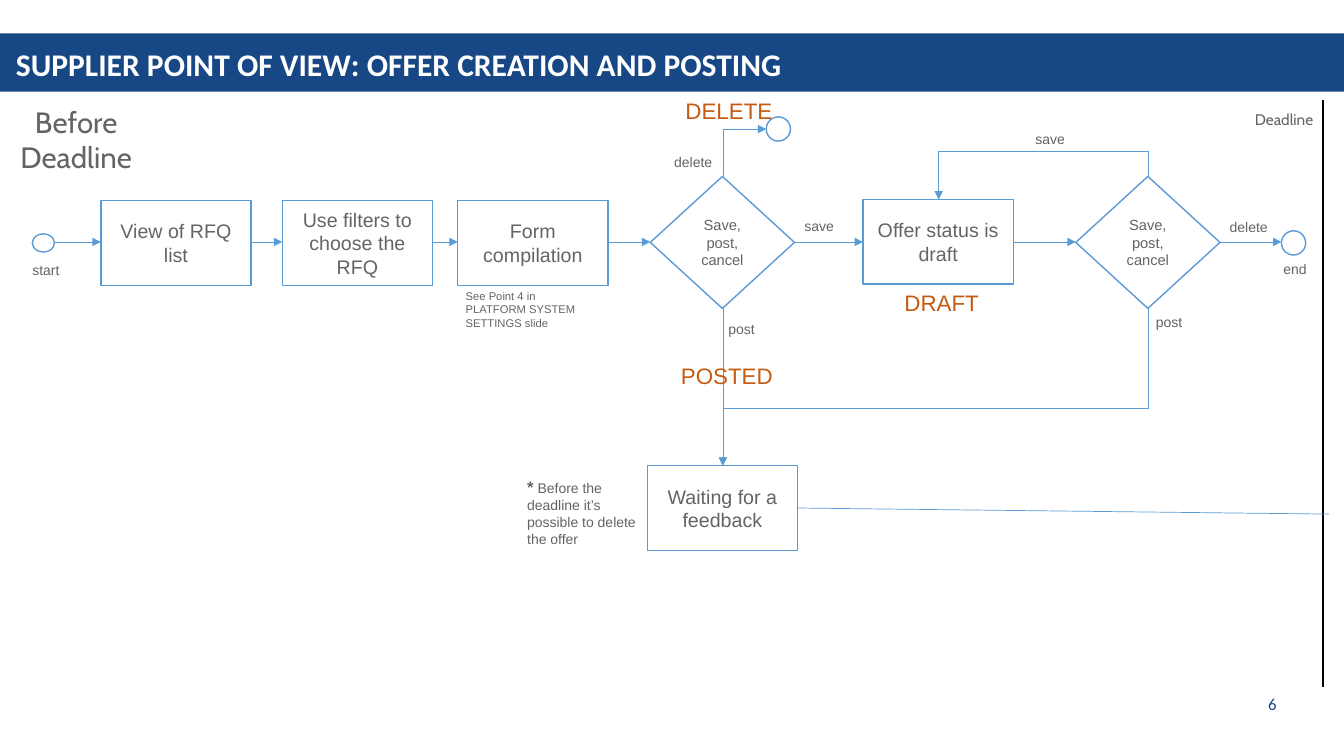
from lxml.etree import SubElement
from pptx import Presentation
from pptx.dml.color import RGBColor
from pptx.enum.shapes import MSO_CONNECTOR, MSO_SHAPE
from pptx.enum.text import MSO_ANCHOR, PP_ALIGN
from pptx.oxml.ns import qn
from pptx.util import Inches, Pt

HUES = {"navy": "174784", "blue": "5B9BD5", "grey": "646464",
        "rust": "C55A11", "white": "FFFFFF", "black": "000000"}
ROW = 2.4


def hue(name):
    return RGBColor.from_string(HUES[name])


def write(frame, text, size=10, font="Arial", color="grey", bold=False,
          align=PP_ALIGN.CENTER, anchor=MSO_ANCHOR.TOP, wrap=True):
    frame.word_wrap = wrap
    frame.vertical_anchor = anchor
    para = frame.paragraphs[0]
    para.alignment = align
    parts = text if isinstance(text, list) else [(text, size, bold)]
    for words, points, heavy in parts:
        run = para.add_run()
        run.text = words
        run.font.size = Pt(points)
        run.font.name = font
        run.font.bold = heavy
        run.font.color.rgb = hue(color)


class Flow:
    """Draws the flow chart's elements on one slide in a shared style."""

    def __init__(self, slide):
        self.shapes = slide.shapes

    def shape(self, kind, x, y, w, h, fill=None, line="blue"):
        item = self.shapes.add_shape(kind, *map(Inches, (x, y, w, h)))
        item.shadow.inherit = False
        if fill:
            item.fill.solid()
            item.fill.fore_color.rgb = hue(fill)
        else:
            item.fill.background()
        if line:
            item.line.color.rgb = hue(line)
            item.line.width = Pt(1)
        else:
            item.line.fill.background()
        return item

    def step(self, text, x, y):
        box = self.shape(MSO_SHAPE.RECTANGLE, x, y, 1.49, 0.84)
        write(box.text_frame, text, size=14, anchor=MSO_ANCHOR.MIDDLE)

    def choice(self, x):
        box = self.shape(MSO_SHAPE.FLOWCHART_DECISION, x, 1.75, 1.43, 1.31)
        write(box.text_frame, "Save, post, cancel", size=10.5,
              anchor=MSO_ANCHOR.MIDDLE)

    def dot(self, x, y, w=0.24, h=0.24):
        self.shape(MSO_SHAPE.FLOWCHART_CONNECTOR, x, y, w, h)

    def label(self, text, x, y, w=0.67, h=0.27, **style):
        box = self.shapes.add_textbox(*map(Inches, (x, y, w, h)))
        write(box.text_frame, text, **style)

    def link(self, x1, y1, x2, y2, color="blue", width=0.5, head=True,
             kind=MSO_CONNECTOR.STRAIGHT):
        item = self.shapes.add_connector(kind, *map(Inches, (x1, y1, x2, y2)))
        item.line.color.rgb = hue(color)
        item.line.width = Pt(width)
        if head:
            SubElement(item.line._get_or_add_ln(), qn("a:tailEnd"), type="triangle")
        SubElement(item._element.spPr, qn("a:effectLst"))
        return item

    def bend(self, x1, y1, x2, y2, turn=None):
        midx, midy = (x1 + x2) / 2, (y1 + y2) / 2
        w, h = abs(y2 - y1) / 2, abs(x2 - x1) / 2
        item = self.link(midx - w, midy - h, midx + w, midy + h,
                         kind=MSO_CONNECTOR.ELBOW)
        props = item._element.spPr
        angle = 90 if y2 > y1 else 270
        props.find(qn("a:xfrm")).set("rot", str(angle * 60000))
        geom = props.find(qn("a:prstGeom"))
        if turn is None:
            geom.set("prst", "bentConnector2")
        else:
            ratio = round((turn - y1) / (y2 - y1) * 100000)
            SubElement(geom.find(qn("a:avLst")), qn("a:gd"),
                       name="adj1", fmla=f"val {ratio}")


deck = Presentation()
deck.slide_width, deck.slide_height = Inches(13.33), Inches(7.5)
flow = Flow(deck.slides.add_slide(deck.slide_layouts[6]))

flow.shape(MSO_SHAPE.RECTANGLE, 0, 0.33, 13.33, 0.58, fill="navy", line=None)
flow.label("SUPPLIER POINT OF VIEW: OFFER CREATION AND POSTING", 0.06, 0.42,
           9.44, 0.42, size=22.5, font="Calibri", color="white", bold=True,
           align=PP_ALIGN.LEFT, anchor=MSO_ANCHOR.MIDDLE)
flow.label("6", 12.42, 6.83, 0.4, 0.3, size=12, font="Calibri",
           color="navy", wrap=False)
flow.label("Before Deadline", 0.03, 0.98, 1.45, 0.8, size=21, font="Cabin")
flow.label("Deadline", 12.34, 1.04, 0.79, 0.29, size=11, font="Cabin")
flow.link(13.12, 0.99, 13.12, 6.82, color="black", width=1.5, head=False)

for text, x, y in [("View of RFQ list", 1, 1.99),
                   ("Use filters to choose the RFQ", 2.8, 1.99),
                   ("Form compilation", 4.54, 1.99),
                   ("Offer status is draft", 8.56, 1.98),
                   ("Waiting for a feedback", 6.42, 4.62)]:
    flow.step(text, x, y)
for x in (6.45, 10.67):
    flow.choice(x)
flow.dot(0.32, 2.32, 0.22, 0.18)
flow.dot(7.6, 1.16)
flow.dot(12.71, 2.29)

for start, end in [(0.55, 1), (2.49, 2.8), (4.29, 4.54), (6.03, 6.45),
                   (7.88, 8.56), (10.05, 10.67), (12.1, 12.71)]:
    flow.link(start, ROW, end, ROW)
flow.link(7.17, 3.06, 7.17, 4.62)
flow.link(7.91, 5.04, 13.18, 5.1, head=False)
flow.bend(7.17, 1.75, 7.6, 1.28)
flow.bend(11.39, 1.75, 9.31, 1.98, turn=1.5)
flow.bend(11.39, 3.06, 7.17, 4.62, turn=4.05)

for text, x, y in [("start", 0.12, 2.55), ("delete", 6.54, 1.47),
                   ("save", 7.79, 2.11), ("post", 7.02, 3.13),
                   ("save", 10.08, 1.25), ("post", 11.26, 3.06),
                   ("delete", 12.05, 2.12), ("end", 12.51, 2.54)]:
    flow.label(text, x, y)
for text, x, y in [("DRAFT", 8.31, 2.82), ("POSTED", 6.18, 3.54),
                   ("DELETE", 6.2, 0.91)]:
    flow.label(text, x, y, 2.06, 0.37, size=16, color="rust")
flow.label([("*", 12, True), (" ", 10, True),
            ("Before the deadline it’s possible to delete the offer", 10, False)],
           5.13, 4.68, 1.32, 0.81, align=PP_ALIGN.LEFT)
flow.label("See Point 4 in PLATFORM SYSTEM SETTINGS slide", 4.52, 2.82,
           1.49, 0.5, size=8, align=PP_ALIGN.LEFT)

deck.save("out.pptx")
